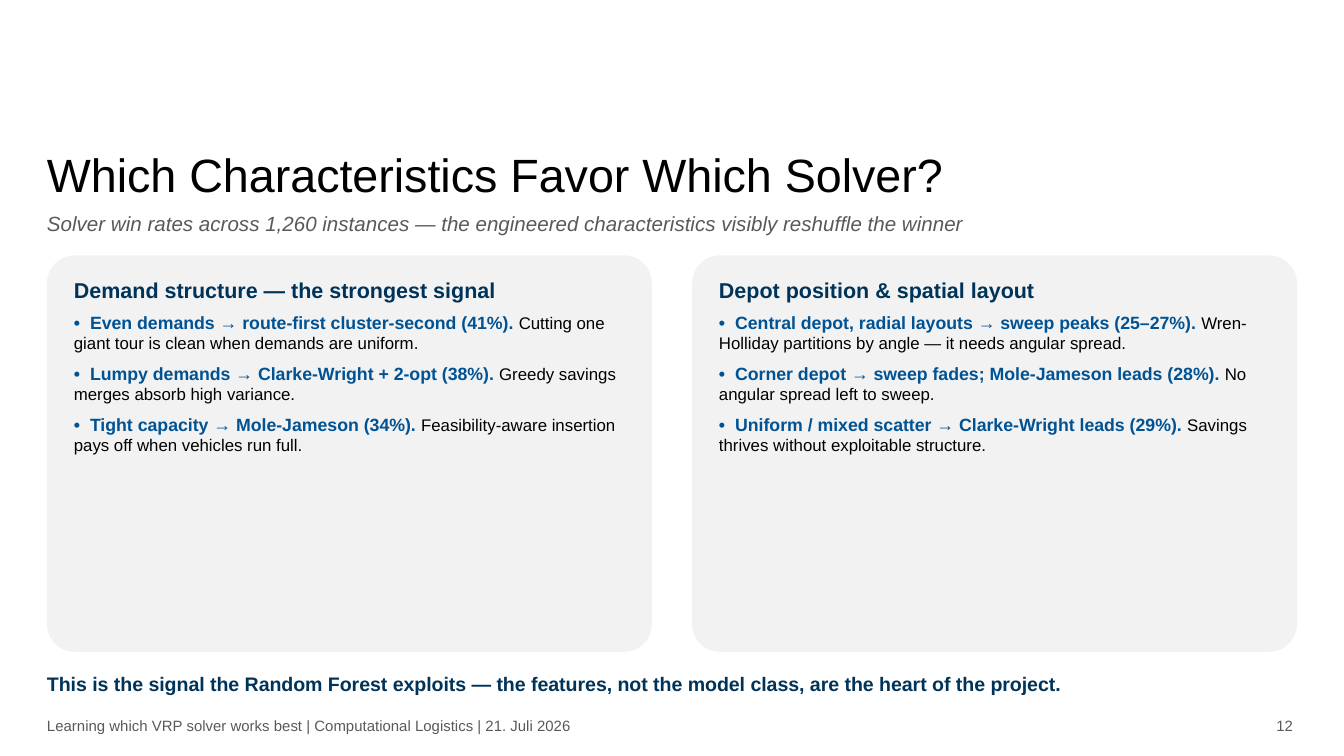
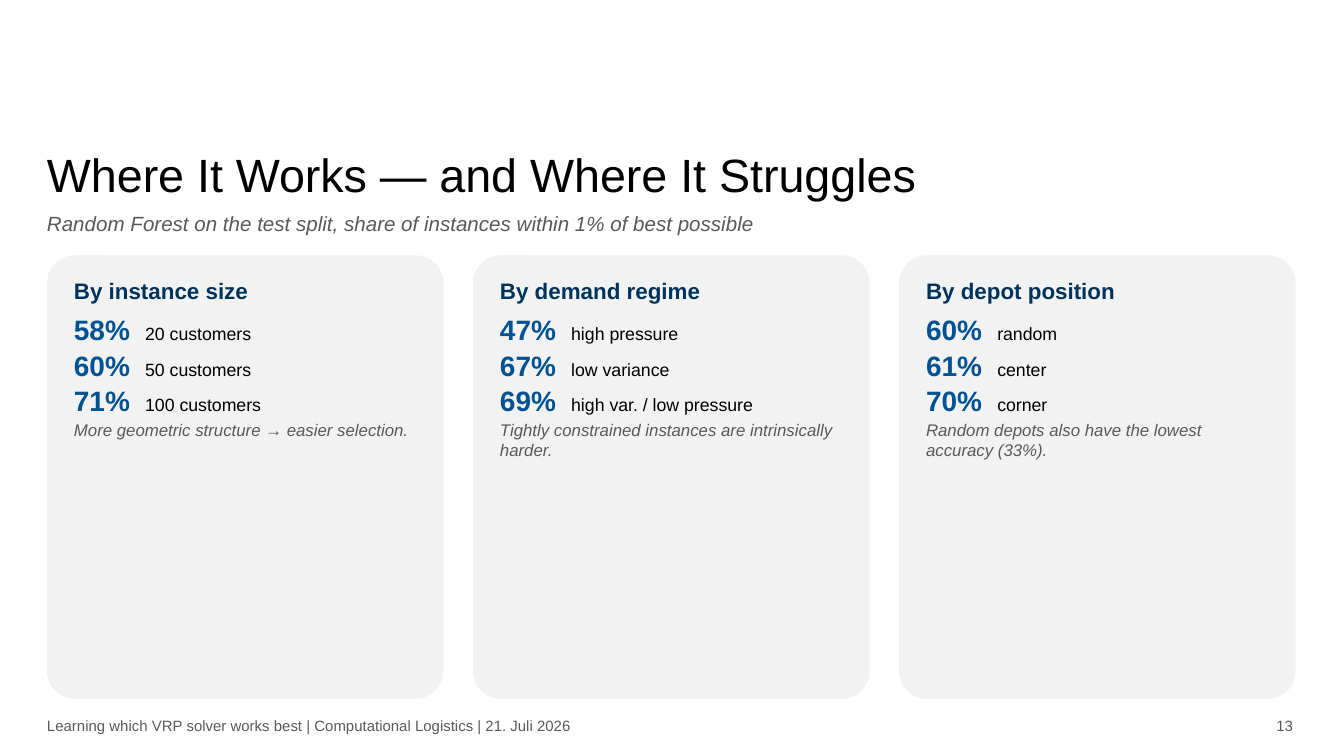
from dataclasses import dataclass

from lxml import etree
from pptx import Presentation
from pptx.dml.color import RGBColor
from pptx.enum.shapes import MSO_SHAPE
from pptx.enum.text import PP_ALIGN
from pptx.oxml.ns import qn
from pptx.util import Inches, Pt

ROUNDED = MSO_SHAPE.ROUNDED_RECTANGLE
LEFT, RIGHT = PP_ALIGN.LEFT, PP_ALIGN.RIGHT


@dataclass(frozen=True)
class Theme:
    font: str = "Arial"
    black: str = "000000"
    navy: str = "003359"
    blue: str = "005293"
    grey: str = "595959"
    panel: str = "F2F2F2"
    title: float = 25
    figure: float = 15
    rate_heading: float = 12
    heading: float = 11.5
    subtitle: float = 11
    takeaway: float = 10.5
    label: float = 9.5
    body: float = 9
    footer: float = 8
    margin: float = 0.35
    width: float = 9.3
    card_top: float = 1.9
    corner: float = 0.07


@dataclass(frozen=True)
class Columns:
    width: float
    gap: float
    height: float
    text_height: float


@dataclass(frozen=True)
class Span:
    text: str
    size: float
    color: str
    bold: bool = False
    italic: bool = False


@dataclass(frozen=True)
class Para:
    spans: list
    after: float = 0
    line: float = 0
    tab: float = 0
    align: int = LEFT


THEME = Theme()
FOOTER = "Learning which VRP solver works best | Computational Logistics | 21. Juli 2026"
FINDING_COLUMNS = Columns(4.5, 0.3, 2.95, 2.7)
RATE_COLUMNS = Columns(2.95, 0.22, 3.3, 3)

FINDINGS = [
    ("Demand structure — the strongest signal", [
        ("Even demands → route-first cluster-second (41%). ",
         "Cutting one giant tour is clean when demands are uniform."),
        ("Lumpy demands → Clarke-Wright + 2-opt (38%). ",
         "Greedy savings merges absorb high variance."),
        ("Tight capacity → Mole-Jameson (34%). ",
         "Feasibility-aware insertion pays off when vehicles run full."),
    ]),
    ("Depot position & spatial layout", [
        ("Central depot, radial layouts → sweep peaks (25–27%). ",
         "Wren-Holliday partitions by angle — it needs angular spread."),
        ("Corner depot → sweep fades; Mole-Jameson leads (28%). ",
         "No angular spread left to sweep."),
        ("Uniform / mixed scatter → Clarke-Wright leads (29%). ",
         "Savings thrives without exploitable structure."),
    ]),
]

RATES = [
    ("By instance size",
     [("58%", "20 customers"), ("60%", "50 customers"), ("71%", "100 customers")],
     "More geometric structure → easier selection."),
    ("By demand regime",
     [("47%", "high pressure"), ("67%", "low variance"), ("69%", "high var. / low pressure")],
     "Tightly constrained instances are intrinsically harder."),
    ("By depot position",
     [("60%", "random"), ("61%", "center"), ("70%", "corner")],
     "Random depots also have the lowest accuracy (33%)."),
]


class DeckBuilder:
    def __init__(self, theme):
        self.theme = theme
        self.deck = Presentation()
        self.deck.slide_width = Inches(10)
        self.deck.slide_height = Inches(10 * 9 / 16)
        self.slide = None

    def page(self, number, title, subtitle):
        theme = self.theme
        self.slide = self.deck.slides.add_slide(self.deck.slide_layouts[6])
        left, width = theme.margin, theme.width
        self.text(left, 1.06, width, 0.45,
                  [Para([Span(title, theme.title, theme.black)], line=32)])
        self.text(left, 1.57, width, 0.3,
                  [Para([Span(subtitle, theme.subtitle, theme.grey, italic=True)], after=4)])
        self.text(left, 5.33, 6.8, 0.24,
                  [Para([Span(FOOTER, theme.footer, theme.grey)])])
        self.text(9, 5.33, 0.62, 0.24,
                  [Para([Span(str(number), theme.footer, theme.grey)], align=RIGHT)])

    def text(self, left, top, width, height, paras):
        box = self.slide.shapes.add_textbox(
            Inches(left), Inches(top), Inches(width), Inches(height))
        frame = box.text_frame
        frame.word_wrap = True
        frame.margin_left = frame.margin_right = 0
        frame.margin_top = frame.margin_bottom = 0
        for index, para in enumerate(paras):
            paragraph = frame.add_paragraph() if index else frame.paragraphs[0]
            self.fill_paragraph(paragraph, para)

    def fill_paragraph(self, paragraph, para):
        paragraph.alignment = para.align
        paragraph.space_after = Pt(para.after)
        if para.line:
            paragraph.line_spacing = Pt(para.line)
        if para.tab:
            stops = etree.SubElement(paragraph._p.get_or_add_pPr(), qn("a:tabLst"))
            etree.SubElement(stops, qn("a:tab"), pos=str(Inches(para.tab)), algn="l")
        for span in para.spans:
            run = paragraph.add_run()
            run.text = span.text
            run.font.name = self.theme.font
            run.font.size = Pt(span.size)
            run.font.bold = span.bold
            run.font.italic = span.italic
            run.font.color.rgb = RGBColor.from_string(span.color)

    def card(self, left, columns, paras):
        top = self.theme.card_top
        panel = self.slide.shapes.add_shape(
            ROUNDED, Inches(left), Inches(top), Inches(columns.width), Inches(columns.height))
        panel.adjustments[0] = self.theme.corner
        panel.shadow.inherit = False
        panel.fill.solid()
        panel.fill.fore_color.rgb = RGBColor.from_string(self.theme.panel)
        panel.line.fill.background()
        self.text(left + 0.2, top + 0.16, columns.width - 0.4, columns.text_height, paras)

    def card_row(self, columns, cards):
        for index, paras in enumerate(cards):
            left = self.theme.margin + index * (columns.width + columns.gap)
            self.card(left, columns, paras)

    def heading(self, text, size):
        return Para([Span(text, size, self.theme.navy, bold=True)], after=5)

    def finding(self, claim, reason):
        theme = self.theme
        return Para([Span("•\t" + claim, theme.label, theme.blue, bold=True),
                     Span(reason, theme.body, theme.black)], after=5, tab=0.12)

    def rate(self, share, group):
        theme = self.theme
        return Para([Span(share + "\t", theme.figure, theme.blue, bold=True),
                     Span(group, theme.label, theme.black)], after=1, tab=0.53)

    def remark(self, text):
        return Para([Span(text, self.theme.body, self.theme.grey, italic=True)])

    def takeaway(self, text):
        theme = self.theme
        self.text(theme.margin, 5, theme.width, 0.35,
                  [Para([Span(text, theme.takeaway, theme.navy, bold=True)])])


def main():
    builder = DeckBuilder(THEME)

    builder.page(12, "Which Characteristics Favor Which Solver?",
                 "Solver win rates across 1,260 instances — "
                 "the engineered characteristics visibly reshuffle the winner")
    builder.card_row(FINDING_COLUMNS, [
        [builder.heading(title, THEME.heading)] + [builder.finding(*item) for item in items]
        for title, items in FINDINGS])
    builder.takeaway("This is the signal the Random Forest exploits — "
                     "the features, not the model class, are the heart of the project.")

    builder.page(13, "Where It Works — and Where It Struggles",
                 "Random Forest on the test split, share of instances within 1% of best possible")
    builder.card_row(RATE_COLUMNS, [
        [builder.heading(title, THEME.rate_heading)]
        + [builder.rate(*item) for item in items]
        + [builder.remark(remark)]
        for title, items, remark in RATES])

    builder.deck.save("out.pptx")


if __name__ == "__main__":
    main()
